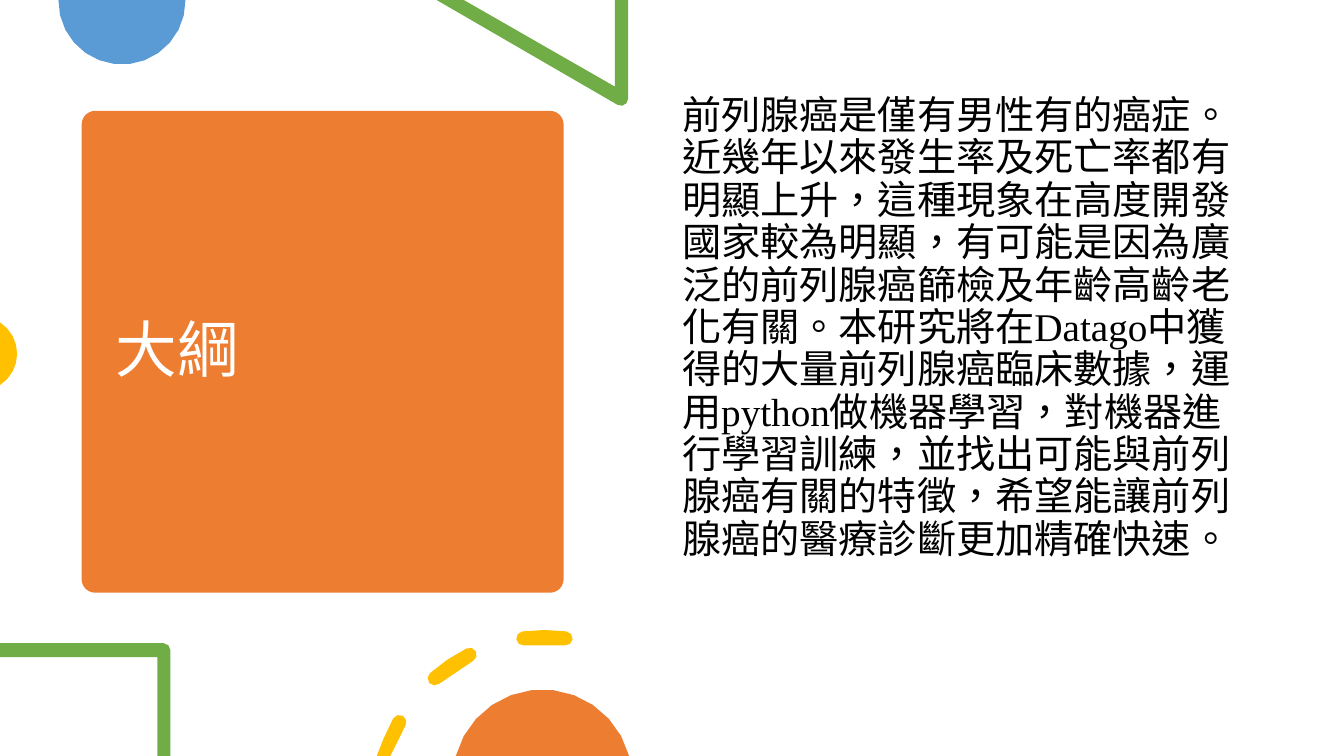
import math

import pptx
import pptx.dml.color
import pptx.enum.lang
import pptx.enum.shapes
import pptx.enum.text
import pptx.util

Inches = pptx.util.Inches
COLORS = {"orange": "ED7D31", "blue": "5B9BD5", "green": "70AD47",
          "yellow": "FFC000", "white": "FFFFFF", "black": "000000"}
WIDTH, HEIGHT = 13.33, 7.5
HEADING = "大綱"
SUMMARY = "\uff0c".join((
    "前列腺癌是僅有男性有的癌症。近幾年以來發生率及死亡率都有明顯上升",
    "這種現象在高度開發國家較為明顯",
    "有可能是因為廣泛的前列腺癌篩檢及年齡高齡老化有關。"
    "本研究將在Datago中獲得的大量前列腺癌臨床數據",
    "運用python做機器學習",
    "對機器進行學習訓練",
    "並找出可能與前列腺癌有關的特徵",
    "希望能讓前列腺癌的醫療診斷更加精確快速。",
))


def rgb(name):
    """Return the named colour."""
    return pptx.dml.color.RGBColor.from_string(COLORS[name])


def paint(shape, color):
    """Give a shape a plain fill without line or shadow."""
    shape.shadow.inherit = False
    shape.fill.solid()
    shape.fill.fore_color.rgb = rgb(color)
    shape.line.fill.background()


def arc(center_x, center_y, radius, start, end, steps):
    """Return points along an arc; degrees run clockwise from the right."""
    angles = [math.radians(start + (end - start) * step / steps)
              for step in range(steps + 1)]
    return [(center_x + radius * math.cos(angle), center_y + radius * math.sin(angle))
            for angle in angles]


def draw_outline(slide, box, contours, color):
    """Draw closed contours, given in inches from the box's top left."""
    left, top = box[:2]
    builder = None
    for contour in contours:
        points = [(Inches(left + x), Inches(top + y)) for x, y in contour]
        if builder is None:
            builder = slide.shapes.build_freeform(*points[0])
        else:
            builder.move_to(*points[0])
        builder.add_line_segments(points[1:], close=True)
    paint(builder.convert_to_shape(), color)


def draw_segment(slide, box, center, radius, start, end, color):
    """Draw the part of a disc that lies on the slide."""
    steps = round(abs(end - start) / 14)
    draw_outline(slide, box, [arc(*center, radius, start, end, steps)], color)


def draw_triangle(slide, box):
    """Draw the corner of a green triangle hanging from the top edge."""
    width, height = box[2:]
    corner = arc(width - 0.07, height - 0.07, 0.07, 120, 0, 3)
    points = [(0, 0)] + corner + [(width, 0), (width - 0.13, 0),
                                  (width - 0.13, 0.86), (0.27, 0)]
    draw_outline(slide, box, [points], "green")


def draw_frame(slide, box):
    """Draw the corner of a green square frame at the bottom left."""
    width, height = box[2:]
    corner = arc(width - 0.07, 0.07, 0.07, 270, 360, 2)
    points = [(0, 0)] + corner + [(width, height), (width - 0.13, height),
                                  (width - 0.13, 0.14), (0, 0.14)]
    draw_outline(slide, box, [points], "green")


def draw_dashes(slide, box):
    """Draw three round-ended dashes of a ring, cut at the box's bottom."""
    center_x, center_y, radius, half_line = 1.66, 1.72, 1.65, 0.07
    contours = []
    for middle in (202, 236, 270):
        start, end = middle - 7.3, middle + 7.3
        first, last = (arc(center_x, center_y, radius, angle, angle, 1)[0]
                       for angle in (start, end))
        points = (arc(*last, half_line, end, end + 180, 4)
                  + arc(*first, half_line, start + 180, start + 360, 4)
                  + arc(center_x, center_y, radius + half_line, middle, middle, 1)[:1])
        contours.append([(x, min(y, box[3])) for x, y in points])
    draw_outline(slide, box, contours, "yellow")


def fill_placeholder(slide, placeholder, box, text, size, font_name, color, anchor):
    """Place a placeholder in front and write one unbulleted paragraph."""
    slide.shapes.element.append(placeholder.element)
    placeholder.left, placeholder.top, placeholder.width, placeholder.height = map(Inches, box)
    frame = placeholder.text_frame
    frame.word_wrap = True
    frame.auto_size = pptx.enum.text.MSO_AUTO_SIZE.NONE
    frame.vertical_anchor = anchor
    paragraph = frame.paragraphs[0]
    paragraph.alignment = pptx.enum.text.PP_ALIGN.LEFT
    paragraph.line_spacing = 0.9
    properties = paragraph._p.get_or_add_pPr()
    properties.set("marL", "0")
    properties.set("indent", "0")
    run = paragraph.add_run()
    run.text = text
    run.font.size = pptx.util.Pt(size)
    run.font.name = font_name
    run.font.color.rgb = rgb(color)
    run.font.language_id = pptx.enum.lang.MSO_LANGUAGE_ID.TRADITIONAL_CHINESE
    return paragraph


def add_heading(slide, box):
    """Add the orange card with the title on it."""
    left, top, width, height = box
    card = slide.shapes.add_shape(pptx.enum.shapes.MSO_SHAPE.ROUNDED_RECTANGLE,
                                  *map(Inches, box))
    card.adjustments[0] = 0.028
    paint(card, "orange")
    title_box = (left + 0.24, top + 0.12, width - 0.47, height - 0.22)
    fill_placeholder(slide, slide.shapes.title, title_box, HEADING, 44, "Roboto",
                     "white", pptx.enum.text.MSO_ANCHOR.MIDDLE)


def add_summary(slide, box):
    """Add the body text without a bullet."""
    paragraph = fill_placeholder(slide, slide.placeholders[1], box, SUMMARY, 28,
                                 "Times New Roman", "black",
                                 pptx.enum.text.MSO_ANCHOR.TOP)
    paragraph.space_before = pptx.util.Pt(10)
    properties = paragraph._p.get_or_add_pPr()
    properties.append(properties.makeelement(
        "{http://schemas.openxmlformats.org/drawingml/2006/main}buNone", {}))


def build_outline_slide(presentation, box):
    """Build the outline slide within the given box."""
    left, top, width, height = box
    bottom = top + height
    slide = presentation.slides.add_slide(presentation.slide_layouts[1])
    add_heading(slide, (left + 0.81, top + 1.1, 4.78, 4.78))
    draw_segment(slide, (left + 0.58, top, 1.26, 0.65), (0.63, 0.01), 0.63,
                 181, -1, "blue")
    draw_triangle(slide, (left + 4.33, top, 1.9, 1.05))
    draw_segment(slide, (left, top + 3.21, 0.17, 0.6), (-0.2, 0.3), 0.37,
                 -57, 57, "yellow")
    add_summary(slide, (left + width / 2, top + 0.9, 5.75, 5.35))
    draw_frame(slide, (left, bottom - 1.12, 1.69, 1.12))
    draw_dashes(slide, (left + 3.74, bottom - 1.25, 1.94, 1.25))
    draw_segment(slide, (left + 4.52, bottom - 0.66, 1.71, 0.66), (0.86, 0.89), 0.89,
                 195, 345, "orange")


presentation = pptx.Presentation()
presentation.slide_width = Inches(WIDTH)
presentation.slide_height = Inches(HEIGHT)
build_outline_slide(presentation, (0, 0, WIDTH, HEIGHT))
presentation.save("out.pptx")
